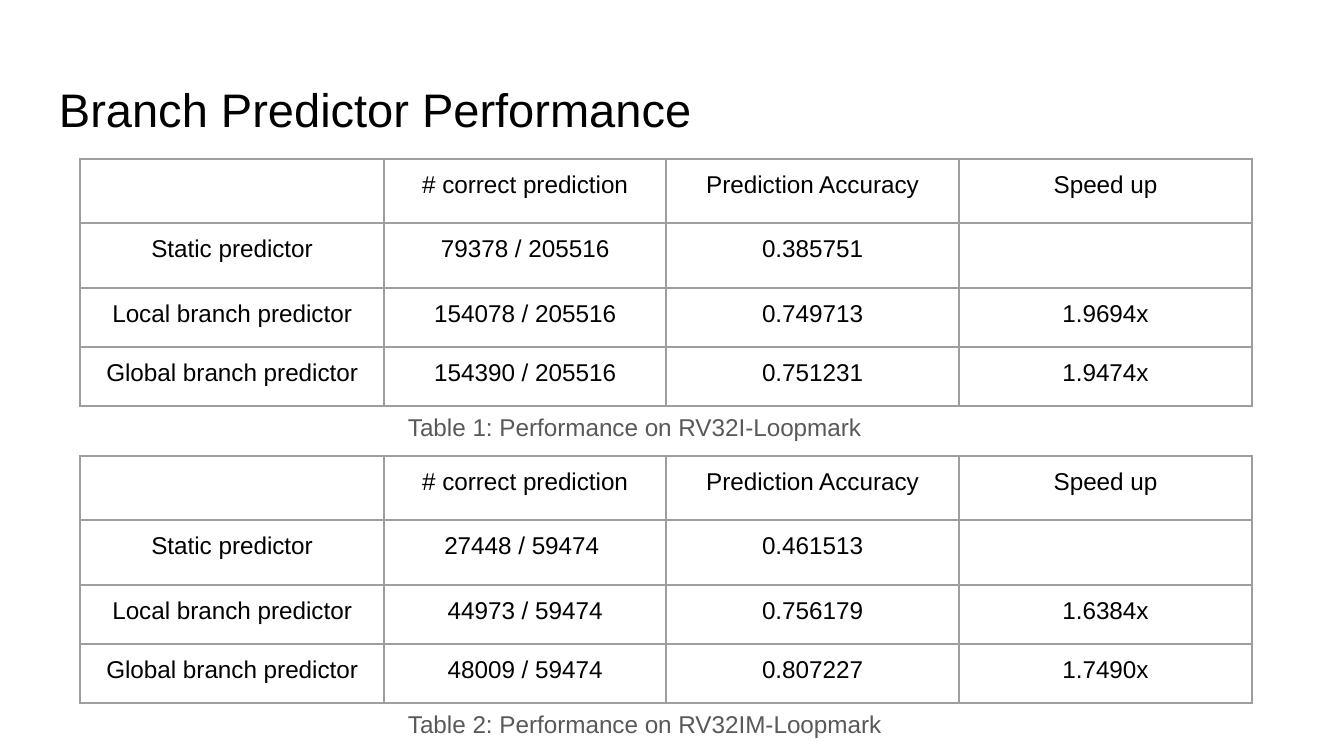
from dataclasses import dataclass

from lxml.etree import SubElement
from pptx import Presentation
from pptx.dml.color import RGBColor
from pptx.enum.text import MSO_ANCHOR as Anchor, PP_ALIGN as Align
from pptx.oxml.ns import qn
from pptx.slide import Slide
from pptx.table import _Cell as Cell
from pptx.text.text import TextFrame
from pptx.util import Emu, Pt

EMU_PER_PX = 914400 / 134.4
INSET = 13
BLACK, GREY, BORDER = "000000", "595959", "9E9E9E"
HEADER = ("", "# correct prediction", "Prediction Accuracy", "Speed up")
COLUMN_WIDTHS = (304, 282, 293, 293)
ROW_HEIGHTS = (64, 65, 59, 59)
TABLE_LEFT, CAPTION_LEFT = 80, 395


@dataclass(frozen=True)
class Benchmark:
    """One results table with the caption under it."""

    top: int
    caption: str
    caption_width: int
    rows: tuple[tuple[str, ...], ...]


BENCHMARKS = (
    Benchmark(159, "Table 1: Performance on RV32I-Loopmark", 485, (
        ("Static predictor", "79378 / 205516", "0.385751", ""),
        ("Local branch predictor", "154078 / 205516", "0.749713", "1.9694x"),
        ("Global branch predictor", "154390 / 205516", "0.751231", "1.9474x"),
    )),
    Benchmark(456, "Table 2: Performance on RV32IM-Loopmark", 532, (
        ("Static predictor", "27448 / 59474 ", "0.461513", ""),
        ("Local branch predictor", "44973 / 59474", "0.756179", "1.6384x"),
        ("Global branch predictor", "48009 / 59474", "0.807227", "1.7490x"),
    )),
)


def px(length: int) -> Emu:
    """Turn whole pixels into EMU."""
    return Emu(round(length * EMU_PER_PX))


def rgb(value: str) -> RGBColor:
    """Turn a hex string into a colour."""
    return RGBColor.from_string(value)


def write(frame: TextFrame, text: str, *, size: float = 13, color: str = BLACK,
          align: Align = Align.LEFT) -> None:
    """Write one formatted paragraph, or only set its size if there is no text."""
    para = frame.paragraphs[0]
    para.alignment = align
    if not text:
        SubElement(para._p, qn("a:endParaRPr"), sz=str(round(size * 100)))
        return
    span = para.add_run()
    span.text = text
    span.font.name = "Arial"
    span.font.size = Pt(size)
    span.font.color.rgb = rgb(color)


def add_text(page: Slide, text: str, left: int, top: int, width: int, height: int,
             *, anchor: Anchor = Anchor.TOP, **style) -> None:
    """Add a wrapping text box."""
    box = page.shapes.add_textbox(px(left), px(top), px(width), px(height))
    frame = box.text_frame
    frame.word_wrap = True
    frame.vertical_anchor = anchor
    frame.margin_left = frame.margin_right = px(INSET)
    frame.margin_top = frame.margin_bottom = px(INSET)
    write(frame, text, **style)


def style_cell(cell: Cell) -> None:
    """Give a cell equal margins, thin grey borders and no fill."""
    cell.margin_left = cell.margin_right = px(INSET)
    cell.margin_top = cell.margin_bottom = px(INSET)
    properties = cell._tc.get_or_add_tcPr()
    for side in ("a:lnL", "a:lnR", "a:lnT", "a:lnB"):
        line = SubElement(properties, qn(side), w=str(Pt(0.75)))
        fill = SubElement(line, qn("a:solidFill"))
        SubElement(fill, qn("a:srgbClr"), val=BORDER)
    cell.fill.background()


def add_benchmark(page: Slide, benchmark: Benchmark) -> None:
    """Add a results table and its caption."""
    rows = (HEADER, *benchmark.rows)
    width, height = sum(COLUMN_WIDTHS), sum(ROW_HEIGHTS)
    table = page.shapes.add_table(len(rows), len(HEADER), px(TABLE_LEFT),
                                  px(benchmark.top), px(width), px(height)).table
    table.first_row = table.horz_banding = False
    for column, column_width in zip(table.columns, COLUMN_WIDTHS):
        column.width = px(column_width)
    for row, row_height, texts in zip(table.rows, ROW_HEIGHTS, rows):
        row.height = px(row_height)
        for cell, text in zip(row.cells, texts):
            style_cell(cell)
            write(cell.text_frame, text, align=Align.CENTER)
    add_text(page, benchmark.caption, CAPTION_LEFT, benchmark.top + height - 7,
             benchmark.caption_width, 39, color=GREY)


def main() -> None:
    """Build and save the slide."""
    deck = Presentation()
    deck.slide_width, deck.slide_height = px(1344), px(756)
    page = deck.slides.add_slide(deck.slide_layouts[6])
    add_text(page, "Branch Predictor Performance", 46, 66, 1253, 85,
             anchor=Anchor.MIDDLE, size=25.2)
    for benchmark in BENCHMARKS:
        add_benchmark(page, benchmark)
    deck.save("out.pptx")


if __name__ == "__main__":
    main()
